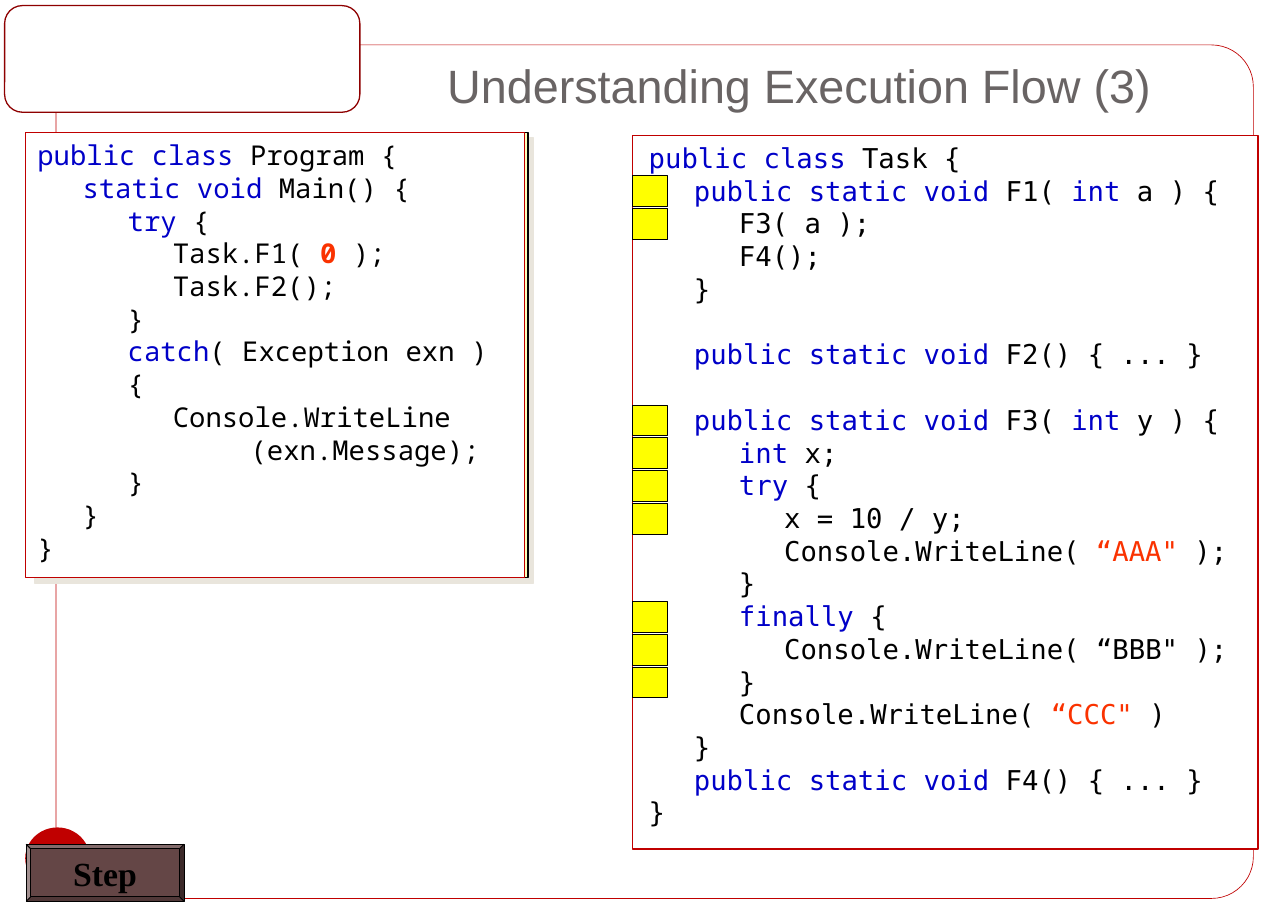
from lxml.etree import SubElement
from pptx import Presentation
from pptx.dml.color import RGBColor
from pptx.enum.shapes import MSO_SHAPE
from pptx.enum.text import MSO_ANCHOR, PP_ALIGN
from pptx.oxml.ns import qn
from pptx.util import Inches, Pt

COLORS = {
    "white": "FFFFFF", "black": "000000", "red": "C00000", "dark red": "8E0000",
    "cream": "FCFEB9", "shade": "E9E5DC", "brown": "644646", "yellow": "FFFF00",
    "title": "696464", "keyword": "0000C8", "literal": "FA3200",
}
ROW = 3.56  # one code line, in percent of the slide height
TAB_STEP = 0.483

PROGRAM_CODE = """\
`public class` Program {
\t`static void` Main() {
\t\t`try` {
\t\t\tTask.F1( `0 `);
\t\t\tTask.F2();
\t\t}
\t\t`catch`( Exception exn )
\t\t{
\t\t\tConsole.WriteLine
\t\t\t\t  (exn.Message);
\t\t}
\t}
}"""

TASK_CODE = """\
`public class` Task {
\t`public static void `F1( `int` a ) {
\t\tF3( a );
\t\tF4();
\t}

\t`public static void` F2() { ... }

\t`public static void `F3( `int` y ) {
\t\t`int` x;
\t\t`try` {
\t\t\tx = 10 / y;
\t\t\tConsole.WriteLine( `“AAA"` );
\t\t}
\t\t`finally` {
\t\t\tConsole.WriteLine( “BBB" );
\t\t}
\t\tConsole.WriteLine( `“CCC"` )
\t}
\t`public static void` F4() { ... }
}"""

prs = Presentation()
prs.slide_width, prs.slide_height = Inches(13.78), Inches(9.84)
slide = prs.slides.add_slide(prs.slide_layouts[6])


def add_box(kind, left, top, width, height, fill=None, line=None, weight=1):
    """Add a preset shape, or a text box if kind is None; lengths in percent of the slide."""
    across, down = prs.slide_width / 100, prs.slide_height / 100
    place = [int(n) for n in (left * across, top * down, width * across, height * down)]
    if kind is None:
        return slide.shapes.add_textbox(*place)
    box = slide.shapes.add_shape(kind, *place)
    box.shadow.inherit = False
    box.fill.solid()
    box.fill.fore_color.rgb = RGBColor.from_string(COLORS[fill])
    if line:
        box.line.color.rgb = RGBColor.from_string(COLORS[line])
        box.line.width = Pt(weight)
    else:
        box.line.fill.background()
    return box


def write(box, text, font, size, color="black", bold=False, code=False,
          align=PP_ALIGN.LEFT, anchor=MSO_ANCHOR.TOP, right=0.13, bottom=0.06):
    """Fill a box with text; backticks enclose the highlighted parts of code."""
    frame = box.text_frame
    frame.word_wrap = True
    frame.vertical_anchor = anchor
    frame.margin_left, frame.margin_right = Inches(0.13), Inches(right)
    frame.margin_top, frame.margin_bottom = Inches(0.06), Inches(bottom)
    line_height = int(prs.slide_height * ROW / 100)
    paragraph, after_gap = frame.paragraphs[0], False
    for index, line in enumerate(text.split("\n")):
        if not line:
            after_gap = True
            continue
        if index:
            paragraph = frame.add_paragraph()
        paragraph.alignment = align
        if code:
            tabs = SubElement(paragraph._p.get_or_add_pPr(), qn("a:tabLst"))
            for stop in range(1, 5):
                SubElement(tabs, qn("a:tab"), pos=str(Inches(TAB_STEP * stop)), algn="l")
            paragraph.line_spacing = Pt(25.2)
        if after_gap:
            paragraph.space_before = line_height
            after_gap = False
        for number, part in enumerate(line.split("`")):
            if not part:
                continue
            run = paragraph.add_run()
            run.text = part
            tint = color
            if number % 2:
                tint = "literal" if part[0] in "“0" else "keyword"
            run.font.name, run.font.size = font, Pt(size)
            run.font.bold = bold or part == "0 "
            run.font.color.rgb = RGBColor.from_string(COLORS[tint])


# Slide frame and title
frame_outline = add_box(MSO_SHAPE.ROUNDED_RECTANGLE, 4.35, 4.88, 92.96, 92.78,
                        "white", "red", 0.5)
frame_outline.adjustments[0] = 0.049
add_box(MSO_SHAPE.ROUNDED_RECTANGLE, 0.36, 0.61, 27.58, 11.59, "white", "dark red")
title = add_box(None, 28.3, 0, 67.49, 13.62)
write(title, "Understanding Execution Flow (3)", "Arial", 36, "title",
      align=PP_ALIGN.CENTER, anchor=MSO_ANCHOR.BOTTOM, bottom=0.13)
add_box(MSO_SHAPE.OVAL, 1.96, 89.94, 5.01, 6.71, "red")

# Task class with the executed lines marked
add_box(MSO_SHAPE.RECTANGLE, 49.13, 14.74, 48.55, 77.54, "white", "red")
for row in (0, 1, 7, 8, 9, 10, 13, 14, 15):
    add_box(MSO_SHAPE.RECTANGLE, 49.13, 19.11 + row * ROW, 2.69, 3.35,
            "yellow", "black", 0.75)
task = add_box(None, 49.42, 14.74, 48.55, 82.11)
write(task, TASK_CODE, "DejaVu Sans Mono", 21, code=True, right=0)

# Program class over its shaded backing
backing = add_box(MSO_SHAPE.RECTANGLE, 2.25, 14.43, 38.75, 48.37, "cream", "black")
effects = backing._element.spPr.find(qn("a:effectLst"))
shadow = SubElement(effects, qn("a:outerShdw"), dist=str(Pt(5.7)), dir="2700000",
                    algn="ctr", rotWithShape="0")
SubElement(shadow, qn("a:srgbClr"), val=COLORS["shade"])
program = add_box(MSO_SHAPE.RECTANGLE, 1.96, 14.43, 38.75, 48.37, "white", "red")
write(program, PROGRAM_CODE, "Noto Sans Mono", 21, code=True, right=0)

step = add_box(MSO_SHAPE.BEVEL, 2.03, 91.77, 12.26, 6.2, "brown", "black", 0.75)
step.adjustments[0] = 0.076
write(step, "Step", "Times New Roman", 26, bold=True,
      align=PP_ALIGN.CENTER, anchor=MSO_ANCHOR.MIDDLE)

prs.save("out.pptx")
